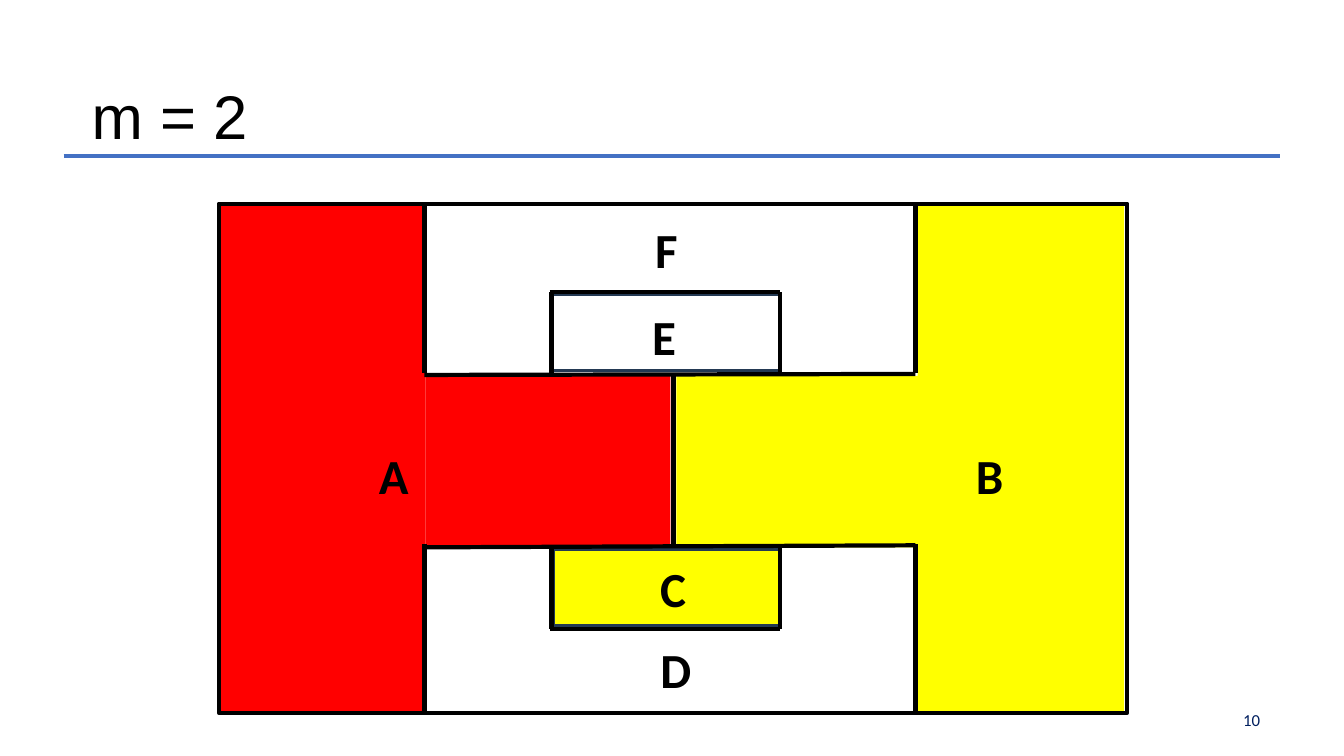
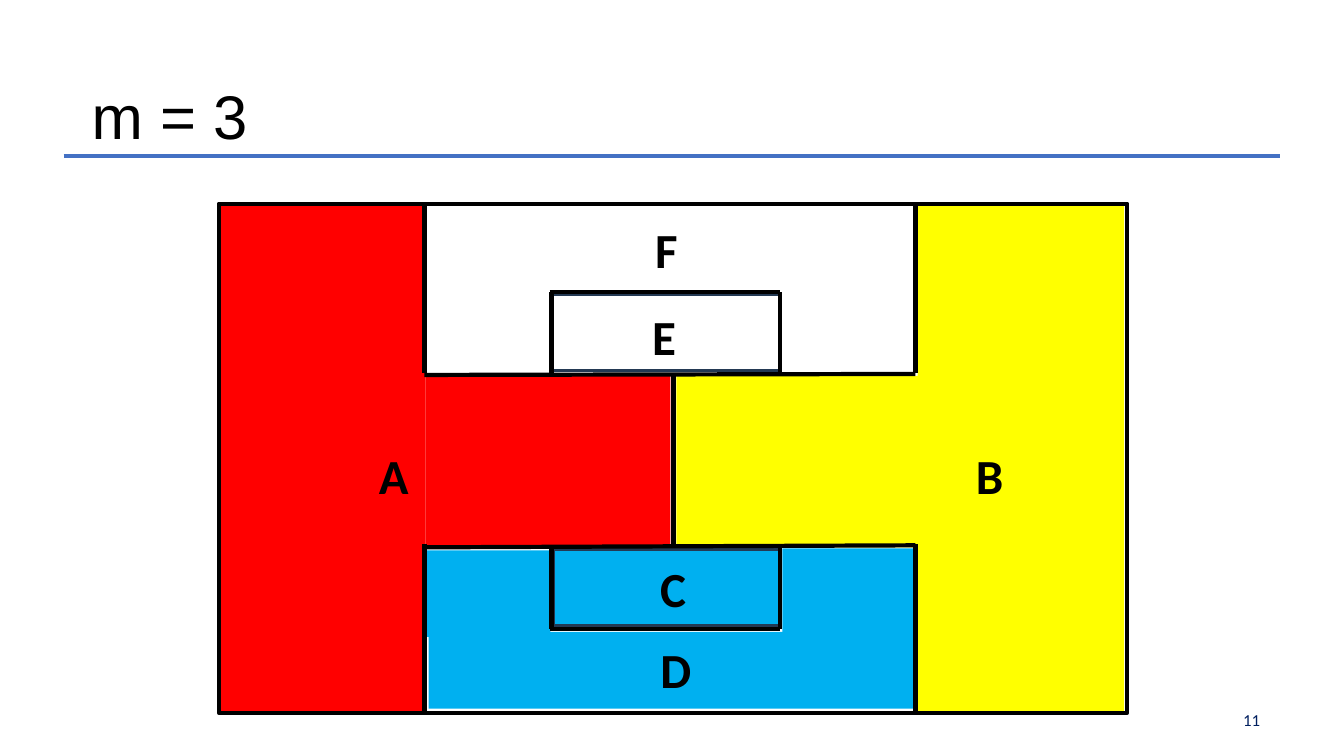
from dataclasses import dataclass

from lxml import etree
from pptx import Presentation
from pptx.dml.color import RGBColor
from pptx.enum.shapes import MSO_CONNECTOR as CONN, MSO_SHAPE as SHAPE
from pptx.enum.text import MSO_ANCHOR as ANCHOR, MSO_AUTO_SIZE as AUTO, PP_ALIGN as ALIGN
from pptx.oxml.ns import qn
from pptx.util import Emu, Pt

EMU_PER_PX = 9144
RED, YELLOW, BLUE, BLACK = "FF0000", "FFFF00", "00B0F0", "000000"
RULE, NAVY, BOX_EDGE = "4471C4", "001F5F", "233953"

MAP_L, MAP_R, MAP_T, MAP_B = 217, 1118, 202, 707
WALL_L, WALL_R, MIDDLE = 421, 908, 668
BOX_L, BOX_R, BOX_T, BOX_B = 547, 774, 290, 624
ARM_T, ARM_B = 372, 543


@dataclass(frozen=True)
class Rect:
    x: int
    y: int
    w: int
    h: int


@dataclass(frozen=True)
class Segment:
    x1: int
    y1: int
    x2: int
    y2: int


@dataclass(frozen=True)
class Label:
    text: str
    x: int
    y: int
    w: int


@dataclass(frozen=True)
class Coloring:
    title: str
    number: str
    c_fill: str
    d_fill: str | None


REGION_A = [Rect(217, 202, 205, 505), Rect(422, 373, 243, 170)]
REGION_B = [Rect(671, 373, 243, 170), Rect(910, 202, 205, 505)]
REGION_D = [Rect(425, 627, 481, 76), Rect(422, 546, 124, 86), Rect(776, 544, 130, 86)]
BOX_C = Rect(549, 545, 224, 76)
BOX_E = Rect(547, 292, 226, 76)
BORDER = Rect(MAP_L, MAP_T, MAP_R - MAP_L, MAP_B - MAP_T)

WALLS = [Segment(x, y1, x, y2)
         for x in (WALL_L, WALL_R)
         for y1, y2 in ((MAP_T, 370), (540, MAP_B))]
ARM_EDGES = [
    Segment(MIDDLE, ARM_T, MIDDLE, 540),
    Segment(WALL_L, ARM_T, WALL_R, ARM_T - 1),
    Segment(WALL_L, ARM_B, WALL_R, ARM_B - 2),
]
BOX_SIDES = [Segment(x, y1, x, y2)
             for x in (BOX_L, BOX_R)
             for y1, y2 in ((BOX_T, ARM_T), (ARM_B, BOX_B))]
BOX_CAPS = [Segment(BOX_L - 2, y, BOX_R, y) for y in (BOX_T, BOX_B)]
EDGES = WALLS + ARM_EDGES + BOX_SIDES + BOX_CAPS

LABELS = [
    Label("A", 366, 437, 50),
    Label("B", 958, 437, 48),
    Label("C", 645, 549, 46),
    Label("D", 645, 629, 51),
    Label("E", 637, 299, 44),
    Label("F", 640, 213, 43),
]
COLORINGS = [
    Coloring("m = 2", "10", YELLOW, None),
    Coloring("m = 3", "11", BLUE, BLUE),
]


def px(n: int) -> Emu:
    return Emu(n * EMU_PER_PX)


def rgb(color: str) -> RGBColor:
    return RGBColor.from_string(color)


def set_text(sp, text: str, *, font: str = "Calibri", size: int = 35,
             color: str = BLACK, bold: bool = False, wrap: bool = False,
             margins: bool = True, spacing: float | None = None) -> None:
    tf = sp.text_frame
    tf.word_wrap = wrap
    tf.auto_size = AUTO.NONE
    tf.vertical_anchor = ANCHOR.TOP
    if not margins:
        tf.margin_left = tf.margin_right = tf.margin_top = tf.margin_bottom = 0
    p = tf.paragraphs[0]
    p.alignment = ALIGN.LEFT
    if spacing:
        p.line_spacing = Pt(spacing)
    r = p.add_run()
    r.text = text
    r.font.name = font
    r.font.size = Pt(size)
    r.font.bold = bold
    r.font.color.rgb = rgb(color)


def add_text(s, text: str, x: int, y: int, w: int, h: int, **fmt) -> None:
    sp = s.shapes.add_textbox(px(x), px(y), px(w), px(h))
    set_text(sp, text, **fmt)


def add_rect(s, rect: Rect, fill: str | None = None,
             line: str | None = None, width: int = 3) -> None:
    sp = s.shapes.add_shape(SHAPE.RECTANGLE, px(rect.x), px(rect.y), px(rect.w), px(rect.h))
    sp.shadow.inherit = False
    if fill:
        sp.fill.solid()
        sp.fill.fore_color.rgb = rgb(fill)
    else:
        sp.fill.background()
    if line:
        sp.line.color.rgb = rgb(line)
        sp.line.width = Pt(width)
    else:
        sp.line.fill.background()


def add_line(s, seg: Segment, color: str = BLACK, width: float = 3) -> None:
    sp = s.shapes.add_connector(CONN.STRAIGHT, px(seg.x1), px(seg.y1), px(seg.x2), px(seg.y2))
    sp.line.color.rgb = rgb(color)
    sp.line.width = Pt(width)
    etree.SubElement(sp._element.spPr, qn("a:effectLst"))


def add_frame(s, title: str, number: str) -> None:
    add_line(s, Segment(63, 155, 1270, 155), RULE, 2.5)
    sp = s.shapes.title
    sp.left, sp.top, sp.width, sp.height = px(81), px(72), px(195), px(84)
    set_text(sp, title, font="Arial", size=44)
    add_text(s, number, 1233, 707, 30, 17, size=12, color=NAVY,
             wrap=True, margins=False, spacing=12.4)


def add_map(s, coloring: Coloring) -> None:
    fills = [(REGION_A, RED), (REGION_B, YELLOW)]
    if coloring.d_fill:
        fills.append((REGION_D, coloring.d_fill))
    for rects, fill in fills:
        for rect in rects:
            add_rect(s, rect, fill)
    add_rect(s, BOX_C, coloring.c_fill, BOX_EDGE, 2)
    add_rect(s, BOX_E, line=BOX_EDGE, width=2)
    add_rect(s, BORDER, line=BLACK)
    for seg in EDGES:
        add_line(s, seg)
    for label in LABELS:
        add_text(s, label.text, label.x, label.y, label.w, 69, bold=True)


def main() -> None:
    prs = Presentation()
    prs.slide_width, prs.slide_height = px(1333), px(750)
    for coloring in COLORINGS:
        s = prs.slides.add_slide(prs.slide_layouts[5])
        add_frame(s, coloring.title, coloring.number)
        add_map(s, coloring)
    prs.save("out.pptx")


if __name__ == "__main__":
    main()
